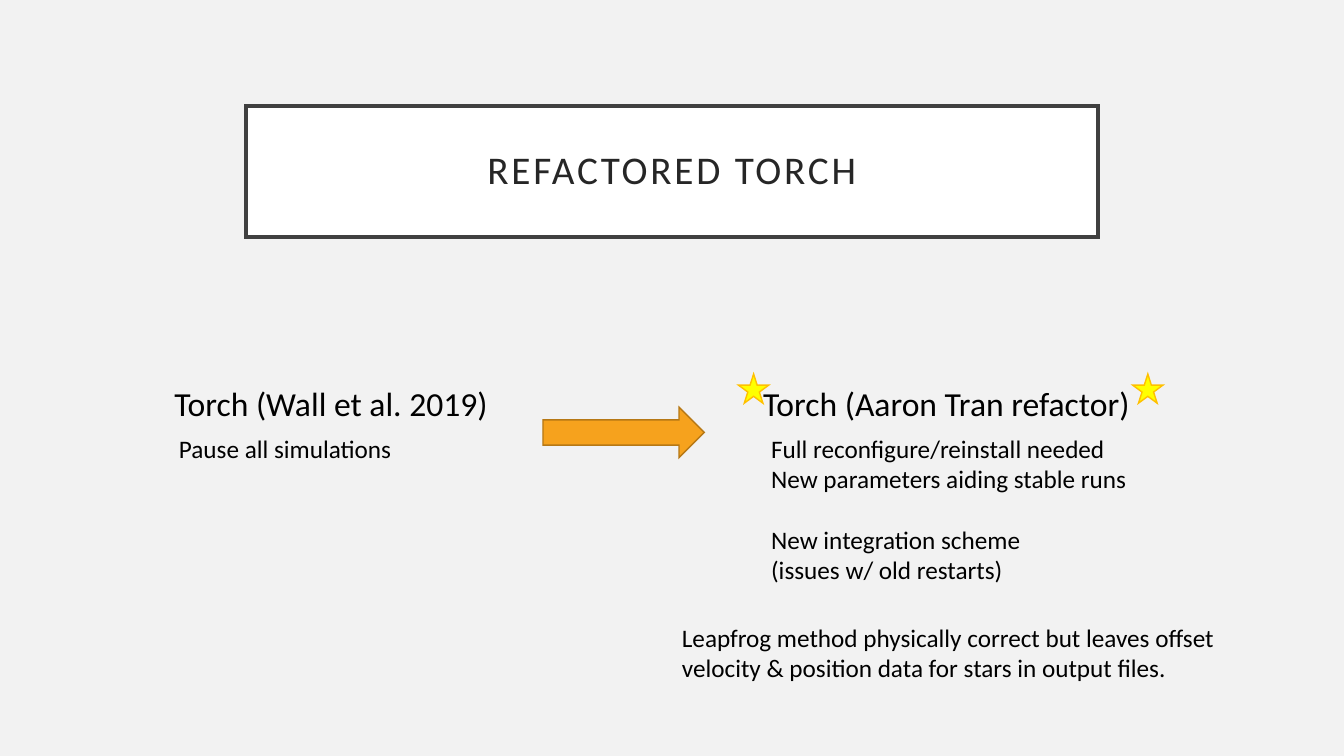
"""Build the slide that compares Torch before and after its refactor."""
from lxml.etree import SubElement
from pptx import Presentation
from pptx.dml.color import RGBColor
from pptx.enum.shapes import MSO_SHAPE as Preset
from pptx.enum.text import MSO_ANCHOR as Anchor, MSO_AUTO_SIZE as AutoSize, PP_ALIGN as Align
from pptx.oxml.ns import qn
from pptx.util import Inches, Pt

THEME = {
    "font": "Calibri",
    "background": "F2F2F2",
    "text": "000000",
    "title": {"fill": "FFFFFF", "line": "404040", "weight": 2.5, "text": "262626"},
    "star": {"fill": "FFFF00", "line": "FFC000", "weight": 1},
    "arrow": {"fill": "F6A21D", "line": "B67815", "weight": 1},
    "title_size": 28,
    "heading_size": 24,
    "body_size": 18,
}

presentation = Presentation()
presentation.slide_width = Inches(13.33)
presentation.slide_height = Inches(7.5)
slide = presentation.slides.add_slide(presentation.slide_layouts[6])
slide.background.fill.solid()
slide.background.fill.fore_color.rgb = RGBColor.from_string(THEME["background"])


def place(left, top, width, height):
    across, down = presentation.slide_width / 100, presentation.slide_height / 100
    return int(left * across), int(top * down), int(width * across), int(height * down)


def write(paragraph, text, size, color):
    run = paragraph.add_run()
    run.text = text
    for name, value in {"name": THEME["font"], "size": Pt(size)}.items():
        setattr(run.font, name, value)
    run.font.color.rgb = RGBColor.from_string(color)
    return run


HEADING_TOP, BODY_TOP = 50, 56.67
STAR_TOP, STAR_WIDTH, STAR_HEIGHT = 49.47, 2.25, 3.87

for box, size, lines in [
    ((12.23, HEADING_TOP, 25.43, 6.67), "heading_size", [("Torch (Wall et al. 2019)", 0)]),
    ((56.04, HEADING_TOP, 30, 6.67), "heading_size", [("Torch (Aaron Tran refactor)", 0)]),
    ((12.58, BODY_TOP, 22.5, 5.33), "body_size", [("Pause all simulations", 0)]),
    ((56.64, BODY_TOP, 28.88, 21.6), "body_size", [
        ("Full reconfigure/reinstall needed", 0),
        ("New parameters aiding stable runs", 0),
        ("New integration scheme", 21.6),
        ("(issues w/ old restarts)", 0),
    ]),
    ((50, 81.6, 47.11, 9.47), "body_size", [(
        "Leapfrog method physically correct but leaves offset "
        "velocity & position data for stars in output files.", 0)]),
]:
    frame = slide.shapes.add_textbox(*place(*box)).text_frame
    for name, value in {"word_wrap": True, "auto_size": AutoSize.SHAPE_TO_FIT_TEXT}.items():
        setattr(frame, name, value)
    for index, (text, gap) in enumerate(lines):
        paragraph = frame.add_paragraph() if index else frame.paragraphs[0]
        if gap:
            paragraph.space_before = Pt(gap)
        write(paragraph, text, THEME[size], THEME["text"])

for preset, style, box in [
    (Preset.STAR_5_POINT, "star", (54.95, STAR_TOP, STAR_WIDTH, STAR_HEIGHT)),
    (Preset.STAR_5_POINT, "star", (84.28, STAR_TOP, STAR_WIDTH, STAR_HEIGHT)),
    (Preset.RIGHT_ARROW, "arrow", (40.4, 53.87, 12, 6.67)),
    (Preset.RECTANGLE, "title", (18.3, 14, 63.4, 17.33)),
]:
    shape = slide.shapes.add_shape(preset, *place(*box))
    shape.shadow.inherit = False
    shape.fill.solid()
    shape.fill.fore_color.rgb = RGBColor.from_string(THEME[style]["fill"])
    shape.line.color.rgb = RGBColor.from_string(THEME[style]["line"])
    shape.line.width = Pt(THEME[style]["weight"])
    SubElement(shape.line._get_or_add_ln(), qn("a:miter"), lim="800000")
    if style != "title":
        shape._element.remove(shape._element.txBody)
        continue
    frame = shape.text_frame
    frame_format = {"word_wrap": True, "vertical_anchor": Anchor.MIDDLE}
    for side in ("left", "top", "right", "bottom"):
        frame_format[f"margin_{side}"] = Inches(0.2)
    for name, value in frame_format.items():
        setattr(frame, name, value)
    paragraph = frame.paragraphs[0]
    for name, value in {"alignment": Align.CENTER, "line_spacing": 0.9}.items():
        setattr(paragraph, name, value)
    run = write(paragraph, "REFACTORED TORCH", THEME["title_size"], THEME[style]["text"])
    run.font._element.set("spc", "200")

presentation.save("out.pptx")
